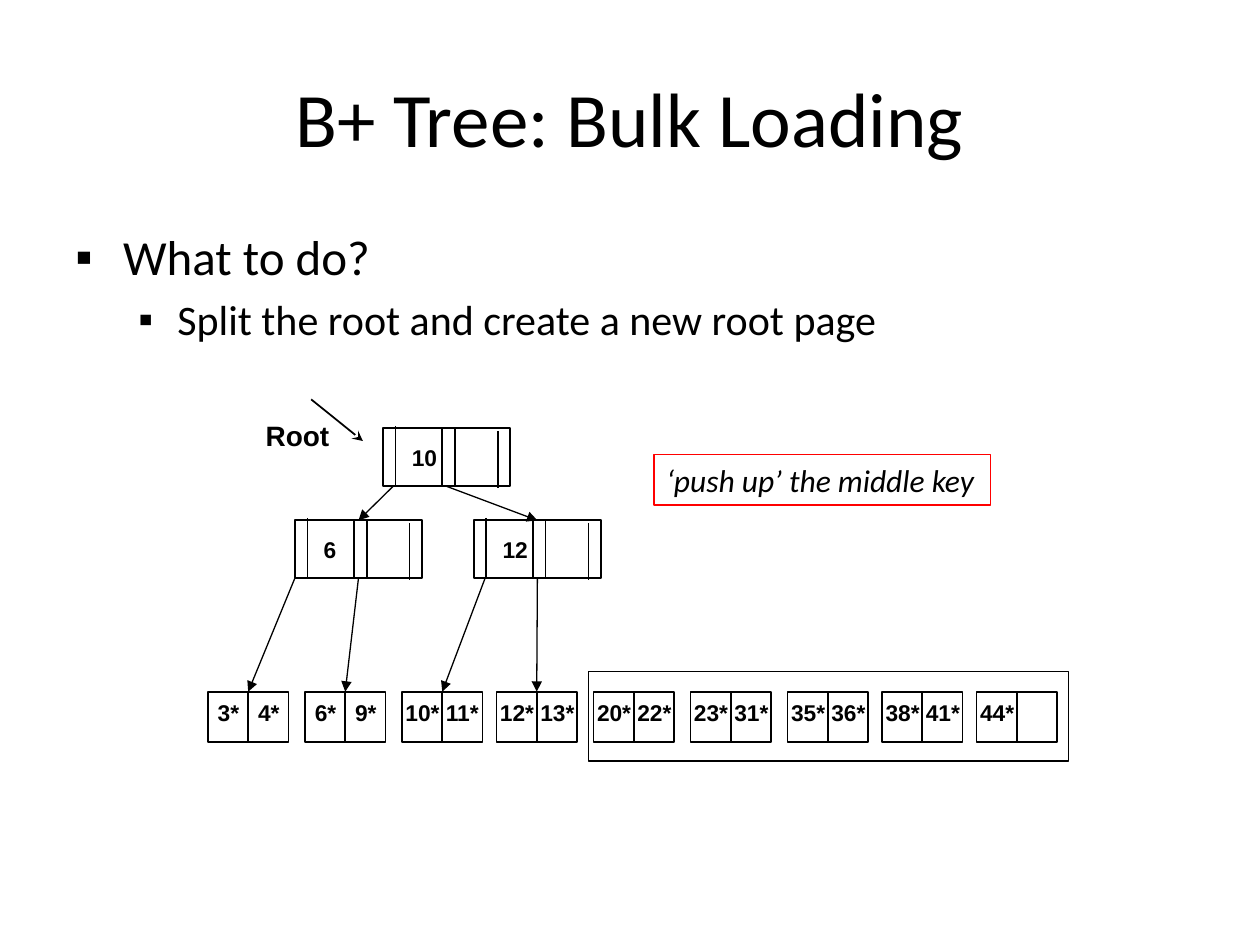
from dataclasses import dataclass
from typing import Optional

import pptx
import pptx.dml.color
import pptx.enum.shapes
import pptx.enum.text
import pptx.oxml.ns
import pptx.util
from lxml import etree

Inches = pptx.util.Inches
Pt = pptx.util.Pt
qn = pptx.oxml.ns.qn
MSO_SHAPE = pptx.enum.shapes.MSO_SHAPE
MSO_AUTO_SIZE = pptx.enum.text.MSO_AUTO_SIZE
MSO_ANCHOR = pptx.enum.text.MSO_ANCHOR
PP_ALIGN = pptx.enum.text.PP_ALIGN


@dataclass(frozen=True)
class Theme:
    ink: str = "000000"
    accent: str = "FF0000"
    body_font: str = "Calibri"
    diagram_font: str = "Arial"
    title_size: float = 44
    bullet_sizes: tuple[float, ...] = (28, 24)
    note_size: float = 18
    root_size: float = 16
    key_size: float = 13
    outline: float = 1
    thin: float = 0.75


@dataclass(frozen=True)
class Bullet:
    text: str
    level: int
    margin: float
    hanging: float
    space_before: float


@dataclass(frozen=True)
class Node:
    key: str
    left: float
    top: float
    key_width: float


@dataclass(frozen=True)
class Leaf:
    left: float
    keys: tuple[str, ...]


@dataclass(frozen=True)
class Link:
    parent: str
    child: str
    start_offset: Optional[float] = None


THEME = Theme()
NODE_WIDTH, NODE_HEIGHT = 1.01, 0.46
LEAF_WIDTH, LEAF_HEIGHT, LEAF_TOP = 0.64, 0.4, 5.49
NODE_DIVIDERS = ((0.1, -0.02, 0.47), (0.47, 0, 0.45), (0.57, 0, 0.45), (0.91, 0.02, 0.45))

BULLETS = (
    Bullet("What to do?", 0, 0.38, 0.38, 0),
    Bullet("Split the root and create a new root page", 1, 0.81, 0.31, 4.8),
)
NODES = (
    Node("10", 3.04, 3.4, 0.4),
    Node("6", 2.34, 4.13, 0.3),
    Node("12", 3.76, 4.13, 0.4),
)
LEAVES = (
    Leaf(1.65, ("3*", "4*")),
    Leaf(2.42, ("6*", "9*")),
    Leaf(3.19, ("10*", "11*")),
    Leaf(3.94, ("12*", "13*")),
    Leaf(4.71, ("20*", "22*")),
    Leaf(5.48, ("23*", "31*")),
    Leaf(6.25, ("35*", "36*")),
    Leaf(7, ("38*", "41*")),
    Leaf(7.75, ("44*",)),
)
LINKS = (
    Link("10", "6", 0.08),
    Link("10", "12"),
    Link("6", "3*", 0),
    Link("6", "6*"),
    Link("12", "10*", 0.09),
    Link("12", "12*"),
)


def rgb(color: str):
    return pptx.dml.color.RGBColor.from_string(color)


def style_para(para, font: str, size: float, bold: bool = False, italic: bool = False):
    para.font.name = font
    para.font.size = Pt(size)
    para.font.bold = bold
    para.font.italic = italic
    para.font.color.rgb = rgb(THEME.ink)


def add_box(page, left: float, top: float, width: float, height: float,
            color: str = THEME.ink, weight: float = THEME.outline):
    box = page.shapes.add_shape(MSO_SHAPE.RECTANGLE, Inches(left), Inches(top),
                                Inches(width), Inches(height))
    box.shadow.inherit = False
    box.fill.background()
    box.line.color.rgb = rgb(color)
    box.line.width = Pt(weight)
    return box


def add_line(page, start: tuple[float, float], end: tuple[float, float],
             weight: float = THEME.outline, arrow: Optional[str] = None):
    line = page.shapes.add_connector(pptx.enum.shapes.MSO_CONNECTOR.STRAIGHT,
                                     *map(Inches, start + end))
    line.line.color.rgb = rgb(THEME.ink)
    line.line.width = Pt(weight)
    if arrow:
        etree.SubElement(line.line._get_or_add_ln(), qn("a:tailEnd"), type=arrow)
    etree.SubElement(line._element.spPr, qn("a:effectLst"))
    return line


def add_label(page, text: str, left: float, top: float, width: float, height: float,
              size: float = THEME.key_size):
    frame = page.shapes.add_textbox(Inches(left), Inches(top), Inches(width),
                                    Inches(height)).text_frame
    frame.word_wrap = False
    frame.auto_size = MSO_AUTO_SIZE.SHAPE_TO_FIT_TEXT
    para = frame.paragraphs[0]
    para.text = text
    style_para(para, THEME.diagram_font, size, bold=True)


def add_node(page, node: Node):
    box = add_box(page, node.left, node.top, NODE_WIDTH, NODE_HEIGHT)
    for offset, drop, length in NODE_DIVIDERS:
        x, y = node.left + offset, node.top + drop
        add_line(page, (x, y), (x, y + length))
    add_label(page, node.key, node.left + 0.13, node.top + 0.07, node.key_width, 0.32)
    return box


def add_leaf(page, leaf: Leaf):
    box = add_box(page, leaf.left, LEAF_TOP, LEAF_WIDTH, LEAF_HEIGHT)
    half = LEAF_WIDTH / 2
    middle = leaf.left + half
    add_line(page, (middle, LEAF_TOP), (middle, LEAF_TOP + LEAF_HEIGHT))
    for index, key in enumerate(leaf.keys):
        inset, width = (0.02, 0.37) if len(key) == 2 else (0.07, 0.47)
        add_label(page, key, leaf.left + index * half - inset, 5.5, width, 0.31)
    return box


def add_link(page, link: Link, boxes: dict):
    parent, child = boxes[link.parent], boxes[link.child]
    offset = link.start_offset or 0
    start = (parent.left.inches + offset, parent.top.inches + parent.height.inches)
    end = (child.left.inches + child.width.inches / 2, child.top.inches)
    line = add_line(page, start, end, THEME.thin, "triangle")
    if link.start_offset is None:
        line.begin_connect(parent, 2)
    line.end_connect(child, 0)


def add_title(page, text: str):
    title = page.shapes.title
    title.left, title.top, title.width, title.height = map(Inches, (0.5, 0.3, 9, 1.25))
    title.text_frame.vertical_anchor = MSO_ANCHOR.MIDDLE
    para = title.text_frame.paragraphs[0]
    para.text = text
    para.alignment = PP_ALIGN.CENTER
    style_para(para, THEME.body_font, THEME.title_size)


def add_bullets(page, bullets: tuple[Bullet, ...]):
    frame = page.shapes.add_textbox(*map(Inches, (0.5, 1.75, 9.33, 5.42))).text_frame
    frame.word_wrap = True
    for index, bullet in enumerate(bullets):
        para = frame.add_paragraph() if index else frame.paragraphs[0]
        para.text = bullet.text
        para.level = bullet.level
        para.space_before = Pt(bullet.space_before)
        props = para._p.get_or_add_pPr()
        props.set("marL", str(Inches(bullet.margin)))
        props.set("indent", str(-Inches(bullet.hanging)))
        etree.SubElement(props, qn("a:buFont"), typeface=THEME.diagram_font)
        etree.SubElement(props, qn("a:buChar"), char="▪")
        style_para(para, THEME.body_font, THEME.bullet_sizes[bullet.level])


def add_note(page, text: str):
    box = add_box(page, 5.19, 3.61, 2.67, 0.4, THEME.accent, THEME.thin)
    frame = box.text_frame
    frame.word_wrap = False
    frame.auto_size = MSO_AUTO_SIZE.SHAPE_TO_FIT_TEXT
    frame.vertical_anchor = MSO_ANCHOR.TOP
    para = frame.paragraphs[0]
    para.text = text
    para.alignment = PP_ALIGN.LEFT
    style_para(para, THEME.body_font, THEME.note_size, italic=True)


def main():
    deck = pptx.Presentation()
    deck.slide_width, deck.slide_height = Inches(10), Inches(7.5)
    page = deck.slides.add_slide(deck.slide_layouts[5])
    add_title(page, "B+ Tree: Bulk Loading")
    add_bullets(page, BULLETS)
    boxes = {leaf.keys[0]: add_leaf(page, leaf) for leaf in LEAVES}
    add_box(page, 4.67, 5.33, 3.81, 0.71)
    boxes.update({node.key: add_node(page, node) for node in NODES})
    for link in LINKS:
        add_link(page, link, boxes)
    add_label(page, "Root", 2.01, 3.27, 0.71, 0.37, THEME.root_size)
    add_line(page, (2.47, 3.17), (2.88, 3.5), THEME.outline, "stealth")
    add_note(page, "‘push up’ the middle key")
    deck.save("out.pptx")


if __name__ == "__main__":
    main()
